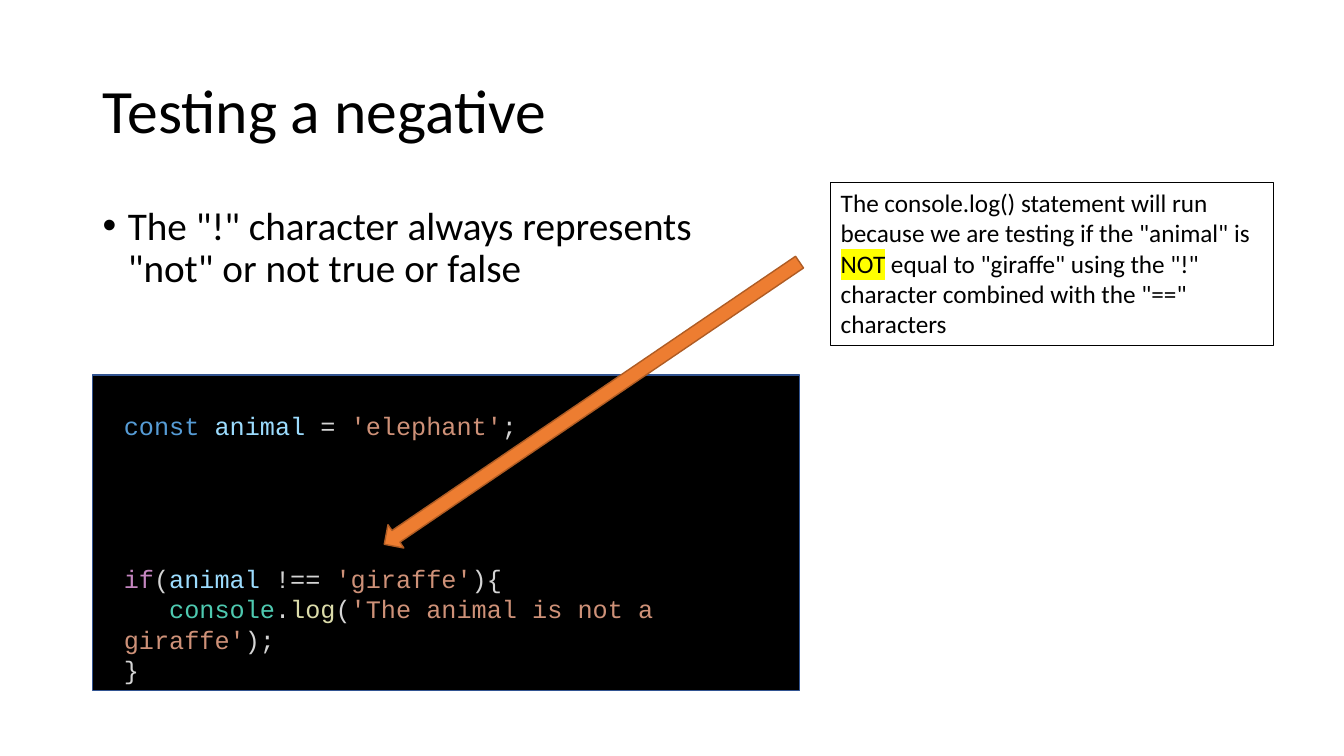
from lxml.etree import SubElement
from pptx import Presentation
from pptx.dml.color import RGBColor
from pptx.enum.shapes import MSO_SHAPE
from pptx.enum.text import MSO_ANCHOR, PP_ALIGN
from pptx.oxml import parse_xml
from pptx.oxml.ns import nsdecls, qn
from pptx.util import Pt

PX = 9144  # 100 px to the inch
COLORS = {
    "black": "000000", "frame": "325491", "arrow": "ED7D31", "edge": "AF5C24",
    "mark": "FFFF00", "const": "569CD6", "name": "9CDCFE", "plain": "D4D4D4",
    "string": "CE9178", "key": "C586C0", "object": "4EC9B0", "call": "DCDCAA",
}
TITLE = "Testing a negative"
POINT = [('The "!" character always represents "not" or not true or false', "black")]
NOTE = [
    ('The console.log() statement will run because we are testing if the "animal" is ', "black"),
    ("NOT", "black"),
    (' equal to "giraffe" using the "!" character combined with the "==" characters', "black"),
]
# Each code line: gap above in lines, indent in characters, coloured parts
CODE = [
    (0, 0, [("const ", "const"), ("animal", "name"), (" = ", "plain"),
            ("'elephant'", "string"), (";", "plain")]),
    (4, 0, [("if", "key"), ("(", "plain"), ("animal", "name"), (" !== ", "plain"),
            ("'giraffe'", "string"), ("){", "plain")]),
    (0, 3, [("console", "object"), (".", "plain"), ("log", "call"), ("(", "plain"),
            ("'The animal is not a giraffe'", "string"), (");", "plain")]),
    (0, 0, [("}", "plain")]),
]
BOXES = {
    "title": (92, 40, 1150, 145), "point": (92, 200, 617, 143),
    "panel": (92, 372, 701, 313), "note": (824, 181, 439, 162),
    "arrow": (338, 386, 498, 28), "code": (113, 402, 667, 313),
}
CODE_SIZE, CODE_STEP = 18, 21.8


def color(name):
    return RGBColor.from_string(COLORS[name])


def place(name):
    return [n * PX for n in BOXES[name]]


def write(para, parts, size, font="Calibri"):
    for text, tint in parts:
        run = para.add_run()
        run.text = text
        run.font.size = Pt(size)
        run.font.name = font
        run.font.color.rgb = color(tint)


def draw(kind, name, fill, line, width):
    shape = slide.shapes.add_shape(kind, *place(name))
    shape.shadow.inherit = False
    if fill:
        shape.fill.solid()
        shape.fill.fore_color.rgb = color(fill)
    else:
        shape.fill.background()
    shape.line.color.rgb = color(line)
    shape.line.width = Pt(width)
    return shape


def frame(name):
    text = slide.shapes.add_textbox(*place(name)).text_frame
    text.word_wrap = True
    return text


deck = Presentation()
deck.slide_width, deck.slide_height = 1333 * PX, 750 * PX
slide = deck.slides.add_slide(deck.slide_layouts[5])

title = slide.shapes.title
title.left, title.top, title.width, title.height = place("title")
title.text_frame.vertical_anchor = MSO_ANCHOR.MIDDLE
head = title.text_frame.paragraphs[0]
head.alignment = PP_ALIGN.LEFT
head.line_spacing = 0.9
write(head, [(TITLE, "black")], 44)

para = frame("point").paragraphs[0]
para.line_spacing = 0.9
write(para, POINT, 28)
props = para._p.get_or_add_pPr()
props.set("marL", str(25 * PX))
props.set("indent", str(-25 * PX))
SubElement(props, qn("a:buFont")).set("typeface", "Arial")
SubElement(props, qn("a:buChar")).set("char", "•")

draw(MSO_SHAPE.RECTANGLE, "panel", "black", "frame", 1)

note = draw(MSO_SHAPE.RECTANGLE, "note", None, "black", 0.75).text_frame
note.word_wrap = True
note.vertical_anchor = MSO_ANCHOR.TOP
para = note.paragraphs[0]
para.alignment = PP_ALIGN.LEFT
write(para, NOTE, 18)
mark = parse_xml(f'<a:highlight {nsdecls("a")}><a:srgbClr val="{COLORS["mark"]}"/></a:highlight>')
para.runs[1]._r.rPr.find(qn("a:solidFill")).addnext(mark)

arrow = draw(MSO_SHAPE.RIGHT_ARROW, "arrow", "arrow", "edge", 1)
arrow.rotation = 145.8

code = frame("code")
for i, (gap, indent, parts) in enumerate(CODE):
    para = code.add_paragraph() if i else code.paragraphs[0]
    para.line_spacing = Pt(CODE_STEP)
    para.space_before = Pt(gap * CODE_STEP)
    para._p.get_or_add_pPr().set("indent", str(indent * 15 * PX))
    write(para, parts, CODE_SIZE, "Courier New")

deck.save("out.pptx")
